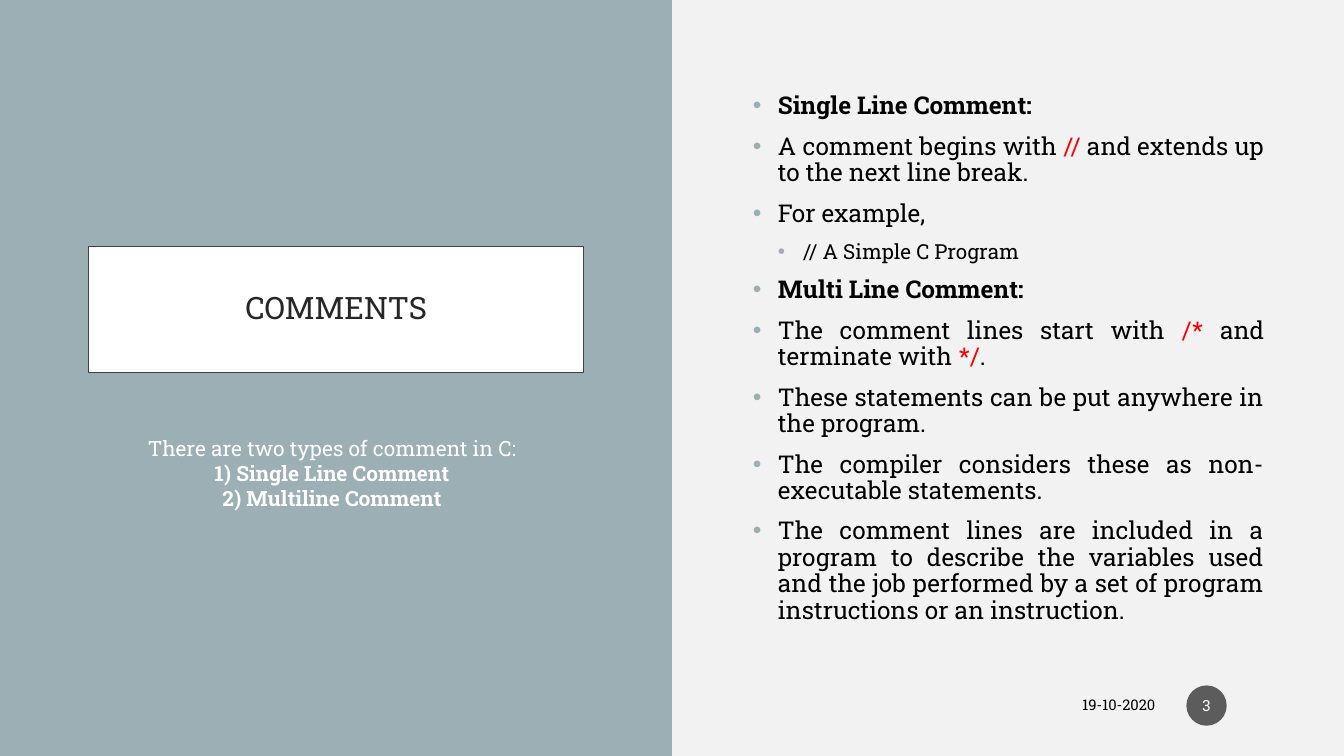
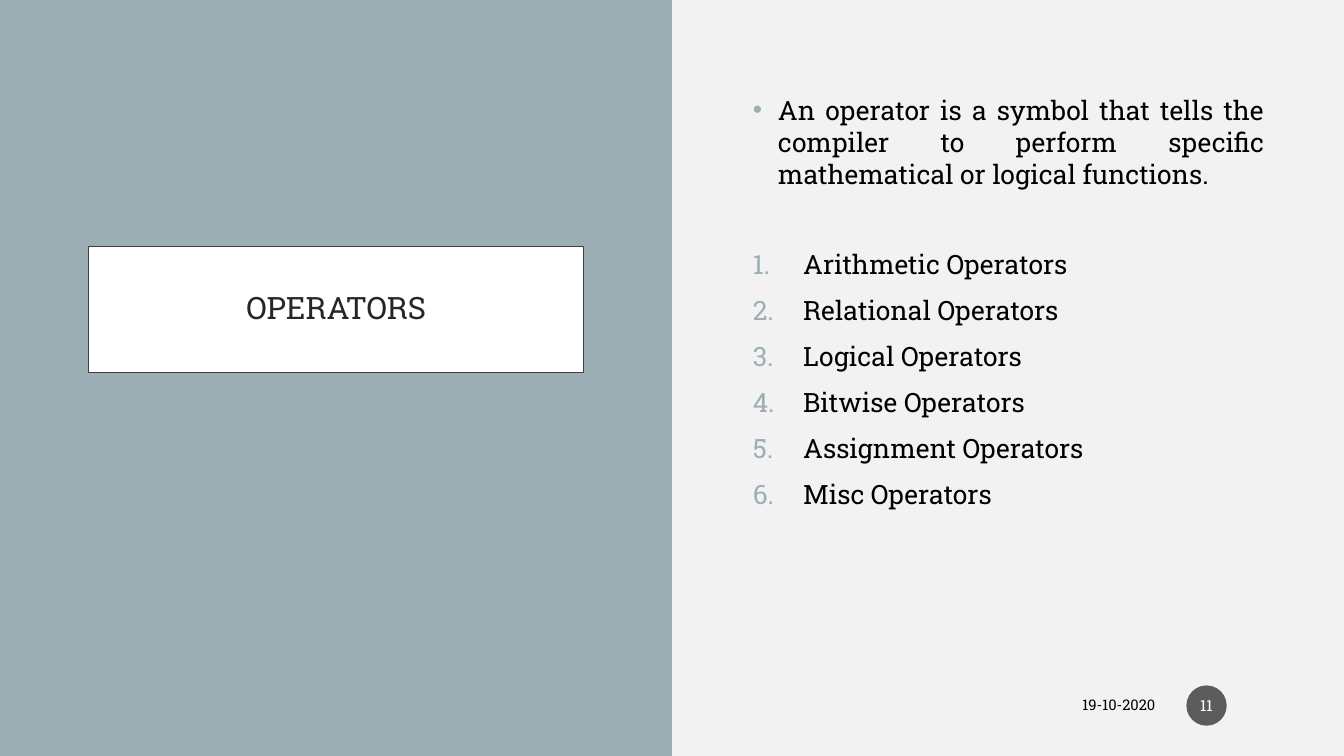
from lxml import etree
from pptx import Presentation
from pptx.dml.color import RGBColor
from pptx.enum.shapes import MSO_SHAPE
from pptx.enum.text import MSO_ANCHOR, MSO_AUTO_SIZE, PP_ALIGN
from pptx.oxml.ns import qn
from pptx.util import Inches, Pt

RECTANGLE, OVAL = MSO_SHAPE.RECTANGLE, MSO_SHAPE.OVAL
MIDDLE, TOP = MSO_ANCHOR.MIDDLE, MSO_ANCHOR.TOP
NO_AUTOFIT = MSO_AUTO_SIZE.NONE
LEFT, CENTER, RIGHT, JUSTIFY = (
    PP_ALIGN.LEFT, PP_ALIGN.CENTER, PP_ALIGN.RIGHT, PP_ALIGN.JUSTIFY)

FONT = "Roboto Slab"
BACKGROUND = RGBColor(0xF2, 0xF2, 0xF2)
ACCENT = RGBColor(0x9B, 0xAF, 0xB5)
WHITE = RGBColor(0xFF, 0xFF, 0xFF)
BLACK = RGBColor(0x00, 0x00, 0x00)
RED = RGBColor(0xFF, 0x00, 0x00)
TITLE_TEXT = RGBColor(0x26, 0x26, 0x26)
TITLE_BORDER = RGBColor(0x40, 0x40, 0x40)
BADGE = RGBColor(0x1D, 0x1D, 0x1D)

SLIDE_HEIGHT = 7.5
SLIDE_WIDTH = SLIDE_HEIGHT * 16 / 9
TITLE_BOX = (0.88, 2.45, 4.91, 1.25)
SUBTITLE_BOX = (1.22, 4.27, 4.15, 2.01)
BODY_BOX = (7.37, 0.88, 5.27, 5.74)
DATE_BOX = (8.55, 6.82, 3.01, 0.35)
BADGE_BOX = (11.77, 6.8, 0.4, 0.4)
DATE = "19-10-2020"
PARAGRAPH_GAP = 10
BULLET, NUMBER = "bullet", "number"

COMMENT_TYPES = [
    ("There are two types of comment in C:", False),
    ("1) Single Line Comment", True),
    ("2) Multiline Comment", True),
]

# Each point is (level, bold, [(text, colour), ...])
COMMENT_POINTS = [
    (0, True, [("Single Line Comment:", BLACK)]),
    (0, False, [("A comment begins with ", BLACK), ("//", RED),
                (" and extends up to the next line break.", BLACK)]),
    (0, False, [("For example,", BLACK)]),
    (1, False, [("// A Simple C Program", BLACK)]),
    (0, True, [("Multi Line Comment:", BLACK)]),
    (0, False, [("The comment lines start with", BLACK), (" /* ", RED),
                ("and terminate with ", BLACK), ("*/", RED), (".", BLACK)]),
    (0, False, [("These statements can be put anywhere in the program.", BLACK)]),
    (0, False, [("The compiler considers these as non-executable statements.", BLACK)]),
    (0, False, [("The comment lines are included in a program to describe the "
                 "variables used and the job performed by a set of program "
                 "instructions or an instruction.", BLACK)]),
]

OPERATOR_DEFINITION = ("An operator is a symbol that tells the compiler to perform "
                       "specific mathematical or logical functions.")
OPERATOR_KINDS = ["Arithmetic", "Relational", "Logical", "Bitwise", "Assignment", "Misc"]


def inches(box):
    return [Inches(value) for value in box]


def prepare_frame(shape, anchor=TOP, margin_x=0.1, margin_y=0.05):
    frame = shape.text_frame
    frame.word_wrap = True
    frame.auto_size = NO_AUTOFIT
    frame.vertical_anchor = anchor
    frame.margin_left = frame.margin_right = Inches(margin_x)
    frame.margin_top = frame.margin_bottom = Inches(margin_y)
    return frame


def add_text_frame(slide, box, anchor=TOP):
    return prepare_frame(slide.shapes.add_textbox(*inches(box)), anchor)


def next_paragraph(frame):
    """Return the empty first paragraph of the frame, or a new one."""
    first = frame.paragraphs[0]
    return frame.add_paragraph() if first.runs else first


def style(paragraph, size, color, align, bold=False, spacing=1.0, before=0):
    paragraph.alignment = align
    paragraph.space_before = Pt(before)
    paragraph.line_spacing = spacing
    font = paragraph.font
    font.name, font.size, font.bold = FONT, Pt(size), bold
    font.color.rgb = color


def add_marker(paragraph, kind, indent, hanging):
    properties = paragraph._p.get_or_add_pPr()
    properties.set("marL", str(Inches(indent)))
    properties.set("indent", str(-Inches(hanging)))
    color = etree.SubElement(properties, qn("a:buClr"))
    etree.SubElement(color, qn("a:srgbClr"), val=str(ACCENT))
    if kind == BULLET:
        etree.SubElement(properties, qn("a:buFont"), typeface="Arial")
        etree.SubElement(properties, qn("a:buChar"), char="•")
    else:
        etree.SubElement(properties, qn("a:buFont"), typeface=FONT)
        etree.SubElement(properties, qn("a:buAutoNum"), type="arabicPeriod")


def add_filled_shape(slide, kind, box, color):
    shape = slide.shapes.add_shape(kind, *inches(box))
    shape.shadow.inherit = False
    shape.fill.solid()
    shape.fill.fore_color.rgb = color
    shape.line.fill.background()
    return shape


def add_side_panel(slide):
    panel = add_filled_shape(
        slide, RECTANGLE, (0, 0, SLIDE_WIDTH / 2, SLIDE_HEIGHT), ACCENT)
    slide.shapes._spTree.insert(2, panel._element)


def set_title(slide, text):
    title = slide.shapes.title
    title.left, title.top, title.width, title.height = inches(TITLE_BOX)
    title.fill.solid()
    title.fill.fore_color.rgb = WHITE
    title.line.color.rgb = TITLE_BORDER
    title.line.width = Pt(0.75)
    paragraph = prepare_frame(title, MIDDLE, 0.2, 0.2).paragraphs[0]
    paragraph.text = text
    style(paragraph, 22, TITLE_TEXT, CENTER, spacing=0.9)


def add_footer(slide, number):
    date = add_text_frame(slide, DATE_BOX, MIDDLE).paragraphs[0]
    date.text = DATE
    style(date, 10.5, BLACK, RIGHT)

    badge = add_filled_shape(slide, OVAL, BADGE_BOX, BADGE)
    color = badge._element.spPr.find(qn("a:solidFill"))[0]
    etree.SubElement(color, qn("a:alpha"), val="70000")
    label = prepare_frame(badge, MIDDLE, 0.02).paragraphs[0]
    label.text = str(number)
    style(label, 11, WHITE, CENTER)


def add_split_slide(presentation, title, number):
    """Add a slide with its title on the left panel and a free right half."""
    slide = presentation.slides.add_slide(presentation.slide_layouts[5])
    slide.background.fill.solid()
    slide.background.fill.fore_color.rgb = BACKGROUND
    add_side_panel(slide)
    set_title(slide, title)
    add_footer(slide, number)
    return slide


def add_comment_types(slide, box):
    frame = add_text_frame(slide, box)
    for text, bold in COMMENT_TYPES:
        paragraph = next_paragraph(frame)
        paragraph.text = text
        style(paragraph, 15, WHITE, CENTER, bold)


def add_comment_points(slide, box):
    frame = add_text_frame(slide, box)
    for index, (level, bold, parts) in enumerate(COMMENT_POINTS):
        paragraph = next_paragraph(frame)
        paragraph.level = level
        add_marker(paragraph, BULLET, 0.25 * (level + 1), 0.25)
        style(paragraph, 14.8 if level else 17.5, BLACK, JUSTIFY, bold,
              spacing=0.9, before=PARAGRAPH_GAP if index else 0)
        for text, color in parts:
            run = paragraph.add_run()
            run.text = text
            if color != BLACK:
                run.font.color.rgb = color


def add_operator_list(slide, box):
    frame = add_text_frame(slide, box)
    size = 19
    definition = frame.paragraphs[0]
    definition.text = OPERATOR_DEFINITION
    add_marker(definition, BULLET, 0.25, 0.25)
    style(definition, size, BLACK, JUSTIFY)
    for index, kind in enumerate(OPERATOR_KINDS):
        paragraph = next_paragraph(frame)
        paragraph.text = f"{kind} Operators"
        add_marker(paragraph, NUMBER, 0.5, 0.5)
        style(paragraph, size, BLACK, LEFT, before=PARAGRAPH_GAP if index else 42)


def main():
    presentation = Presentation()
    presentation.slide_width = Inches(SLIDE_WIDTH)
    presentation.slide_height = Inches(SLIDE_HEIGHT)

    comments = add_split_slide(presentation, "COMMENTS", 3)
    add_comment_types(comments, SUBTITLE_BOX)
    add_comment_points(comments, BODY_BOX)

    operators = add_split_slide(presentation, "OPERATORS", 11)
    add_operator_list(operators, BODY_BOX)

    presentation.save("out.pptx")


if __name__ == "__main__":
    main()
